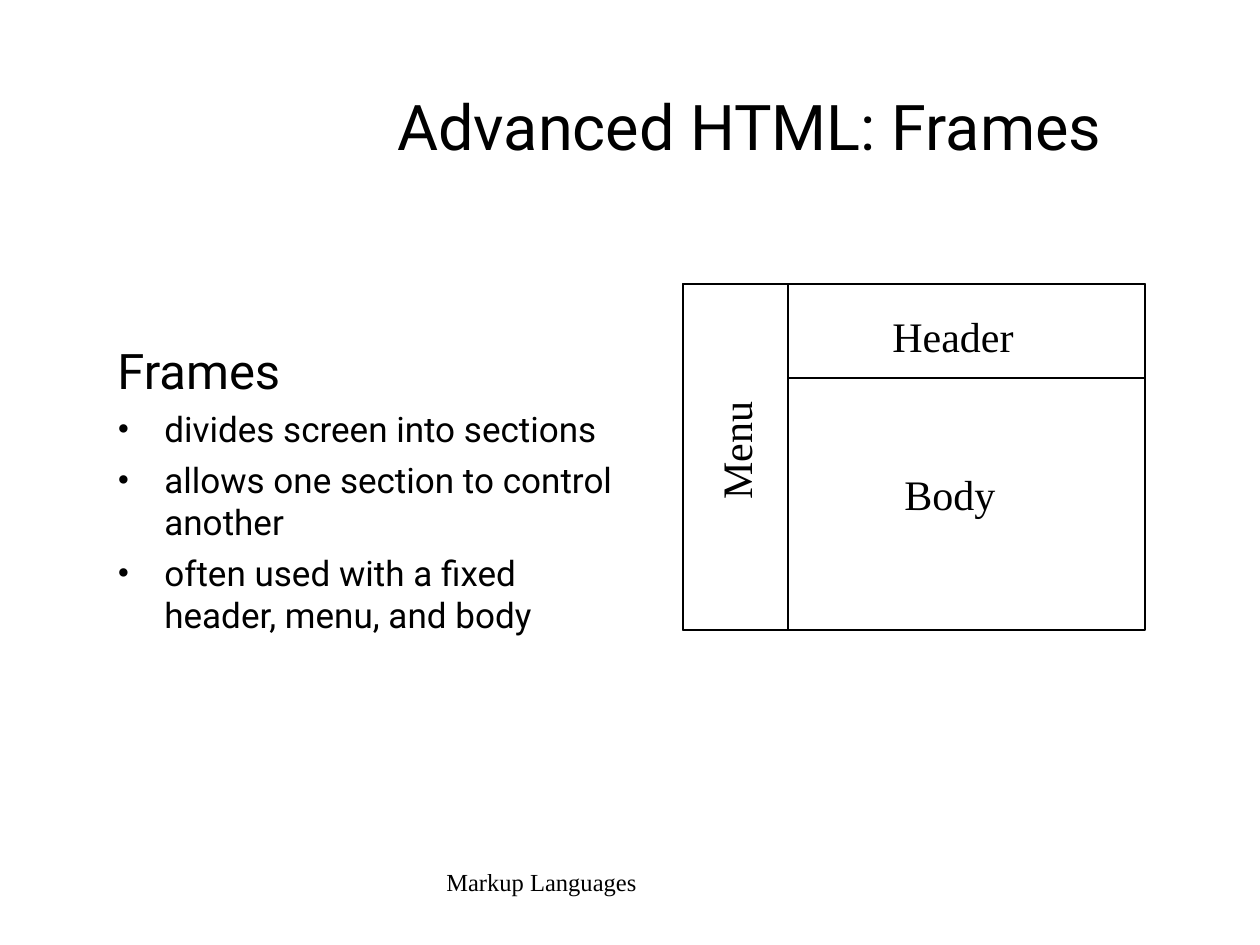
from dataclasses import dataclass

from lxml.etree import SubElement
from pptx import Presentation
from pptx.dml.color import RGBColor
from pptx.enum.shapes import MSO_SHAPE as Shape
from pptx.enum.text import MSO_ANCHOR as Anchor, MSO_AUTO_SIZE as AutoSize, PP_ALIGN as Align
from pptx.oxml.ns import qn
from pptx.util import Pt

EMU_PER_PX = 914400 // 126
BLACK = "000000"
SERIF, SANS = "Times New Roman", "Roboto"


@dataclass(frozen=True)
class Box:
    """A rectangle in pixels."""
    left: int
    top: int
    width: int
    height: int

    def emu(self) -> list[int]:
        """Return the rectangle in EMU."""
        return [px * EMU_PER_PX for px in (self.left, self.top, self.width, self.height)]


@dataclass(frozen=True)
class Line:
    """One paragraph of text."""
    text: str
    size: int
    font: str
    align: Align = Align.LEFT
    before: int = 0
    hanging: int = 0
    bullet: str = ""


@dataclass(frozen=True)
class Label:
    """A block of text with its place."""
    box: Box
    lines: tuple[Line, ...]
    anchor: Anchor = Anchor.TOP
    wrap: bool = True
    rotation: int = 0


def color(hex_code: str) -> RGBColor:
    """Turn a hex string into a colour."""
    return RGBColor.from_string(hex_code)


def format_paragraph(paragraph, line: Line) -> None:
    """Write one line and set its spacing, indent, bullet and font."""
    paragraph.text = line.text
    paragraph.alignment = line.align
    paragraph.space_before = Pt(line.before)
    font = paragraph.runs[0].font
    font.size, font.name = Pt(line.size), line.font
    font.color.rgb = color(BLACK)
    if line.hanging:
        props = paragraph._p.get_or_add_pPr()
        props.set("marL", str(line.hanging * EMU_PER_PX))
        props.set("indent", str(-line.hanging * EMU_PER_PX))
        if line.bullet:
            SubElement(props, qn("a:buFont")).set("typeface", SERIF)
            SubElement(props, qn("a:buChar")).set("char", line.bullet)


def add_label(slide, label: Label) -> None:
    """Add a text box with all its lines."""
    text_box = slide.shapes.add_textbox(*label.box.emu())
    text_box.rotation = label.rotation
    frame = text_box.text_frame
    frame.word_wrap = label.wrap
    frame.auto_size = AutoSize.NONE if label.wrap else AutoSize.SHAPE_TO_FIT_TEXT
    frame.vertical_anchor = label.anchor
    for index, line in enumerate(label.lines):
        format_paragraph(frame.add_paragraph() if index else frame.paragraphs[0], line)


def add_outline(slide, box: Box) -> None:
    """Add an unfilled rectangle with a thin border."""
    outline = slide.shapes.add_shape(Shape.RECTANGLE, *box.emu())
    outline.shadow.inherit = False
    outline.fill.background()
    outline.line.color.rgb = color(BLACK)
    outline.line.width = Pt(0.99)


def frame_name(text: str, box: Box, rotation: int = 0) -> Label:
    """Return the name shown inside one section of the screen."""
    return Label(box, (Line(text, 24, SERIF),), wrap=False, rotation=rotation)


SCREEN = Box(683, 284, 462, 346)
MENU_WIDTH, HEADER_HEIGHT = 105, 94
OUTLINES = (
    SCREEN,
    Box(SCREEN.left, SCREEN.top, MENU_WIDTH, SCREEN.height),
    Box(SCREEN.left + MENU_WIDTH, SCREEN.top, SCREEN.width - MENU_WIDTH, HEADER_HEIGHT),
)

POINTS = (
    "divides screen into sections",
    "allows one section to control another",
    "often used with a fixed header, menu, and body",
)
INDENT = 47
FRAMES_TEXT = (
    Line("Frames", 28, SANS, before=7, hanging=INDENT),
    *(Line(point, 20, SANS, before=5, hanging=INDENT, bullet="•") for point in POINTS),
)

TEXTS = (
    Label(Box(253, 861, 577, 66), (Line("Markup Languages", 14, SERIF, Align.CENTER),)),
    Label(Box(333, 56, 833, 139), (Line("Advanced HTML: Frames", 36, SANS, Align.CENTER),),
          anchor=Anchor.MIDDLE),
    Label(Box(105, 334, 525, 388), FRAMES_TEXT),
)
FRAME_NAMES = (
    frame_name("Menu", Box(673, 418, 125, 63), rotation=270),
    frame_name("Header", Box(880, 304, 150, 63)),
    frame_name("Body", Box(892, 462, 118, 63)),
)


def main() -> None:
    """Build and save the slide."""
    deck = Presentation()
    deck.slide_width, deck.slide_height = 1260 * EMU_PER_PX, 945 * EMU_PER_PX
    slide = deck.slides.add_slide(deck.slide_layouts[6])
    for label in TEXTS:
        add_label(slide, label)
    for box in OUTLINES:
        add_outline(slide, box)
    for label in FRAME_NAMES:
        add_label(slide, label)
    deck.save("out.pptx")


main()
